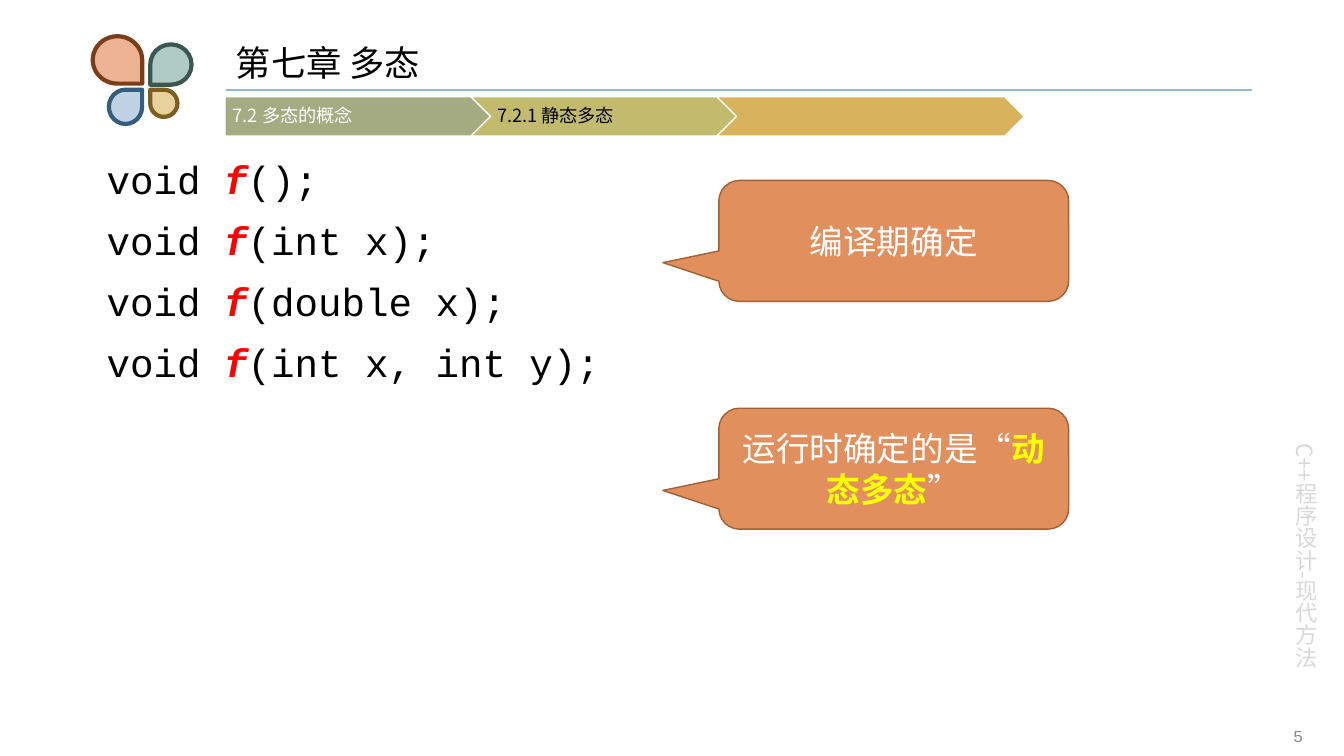
from lxml.etree import SubElement
from pptx import Presentation
from pptx.dml.color import RGBColor
from pptx.enum.shapes import MSO_CONNECTOR, MSO_SHAPE
from pptx.enum.text import MSO_ANCHOR, PP_ALIGN
from pptx.oxml.ns import qn
from pptx.util import Inches, Pt

BLACK = RGBColor(0x00, 0x00, 0x00)
WHITE = RGBColor(0xFF, 0xFF, 0xFF)
RED = RGBColor(0xFF, 0x00, 0x00)
YELLOW = RGBColor(0xFF, 0xFF, 0x00)
RULE_BLUE = RGBColor(0x94, 0xB6, 0xD2)
SIDE_GRAY = RGBColor(0xD9, 0xD9, 0xD9)
NUMBER_GRAY = RGBColor(0x8C, 0x8C, 0x8C)
SAGE = RGBColor(0xA5, 0xAB, 0x81)
OLIVE = RGBColor(0xC2, 0xBB, 0x6E)
GOLD = RGBColor(0xD8, 0xB2, 0x5C)
ORANGE = RGBColor(0xDD, 0x80, 0x47)
RUST = RGBColor(0xA3, 0x5F, 0x35)
PETAL_ORANGE = RGBColor(0xEB, 0xB3, 0x91)
PETAL_ORANGE_EDGE = RGBColor(0x7B, 0x3D, 0x17)
PETAL_GREEN = RGBColor(0xB0, 0xCA, 0xC4)
PETAL_GREEN_EDGE = RGBColor(0x3A, 0x57, 0x50)
PETAL_BLUE = RGBColor(0xBF, 0xD3, 0xE4)
PETAL_BLUE_EDGE = RGBColor(0x35, 0x5D, 0x7E)
PETAL_GOLD = RGBColor(0xE8, 0xD1, 0x9D)
PETAL_GOLD_EDGE = RGBColor(0x7C, 0x5F, 0x1E)

CODE_FONT = "Courier New"
CHINESE_FONT = "Noto Sans CJK SC"


def apply(target, values):
    for name, value in values.items():
        setattr(target, name, value)


def place(box):
    return [Inches(length) for length in box]


def write_para(para, spans, size, font=CHINESE_FONT, **layout):
    apply(para, layout)
    for text, color, *style in spans:
        span = para.add_run()
        span.text = text
        apply(span.font, {"size": Pt(size), "name": font,
                          "bold": "bold" in style, "italic": "italic" in style})
        span.font.color.rgb = color
        SubElement(span._r.get_or_add_rPr(), qn("a:ea"), typeface=CHINESE_FONT)


def add_text(page, box, spans, size, font=CHINESE_FONT, frame=None, **layout):
    text_box = page.shapes.add_textbox(*place(box))
    apply(text_box.text_frame, {"word_wrap": True, **(frame or {})})
    write_para(text_box.text_frame.paragraphs[0], spans, size, font, **layout)
    return text_box


def add_figure(page, kind, box, fill, edge, width):
    figure = page.shapes.add_shape(kind, *place(box))
    figure.shadow.inherit = False
    figure.fill.solid()
    figure.fill.fore_color.rgb = fill
    figure.line.color.rgb = edge
    figure.line.width = Pt(width)
    return figure


def draw_petals(page, left, top):
    petals = [
        (0, 0, 0.47, 0.49, 90, PETAL_ORANGE, PETAL_ORANGE_EDGE),
        (0.56, 0.09, 0.41, 0.4, 180, PETAL_GREEN, PETAL_GREEN_EDGE),
        (0.15, 0.54, 0.33, 0.34, 0, PETAL_BLUE, PETAL_BLUE_EDGE),
        (0.56, 0.54, 0.27, 0.27, 270, PETAL_GOLD, PETAL_GOLD_EDGE),
    ]
    for across, down, width, height, turn, fill, edge in petals:
        box = (left + across, top + down, width, height)
        add_figure(page, MSO_SHAPE.TEAR, box, fill, edge, 3).rotation = turn


def draw_heading(page, left, top, width, height):
    bottom = top + height
    rule = page.shapes.add_connector(
        MSO_CONNECTOR.STRAIGHT, *place((left, bottom, left + width, bottom)))
    rule.line.color.rgb = RULE_BLUE
    rule.line.width = Pt(1.5)
    SubElement(rule.element.spPr, qn("a:effectLst"))
    add_text(page, (left, top, width, height), [("第七章 多态", BLACK)], 25.2,
             frame={"vertical_anchor": MSO_ANCHOR.MIDDLE}, line_spacing=0.9)


def draw_steps(page, left, top, width, height):
    steps = [
        (MSO_SHAPE.PENTAGON, SAGE, "7.2 多态的概念", WHITE, 0, 0.08),
        (MSO_SHAPE.CHEVRON, OLIVE, "7.2.1 静态多态", BLACK, 0.2, 0.06),
        (MSO_SHAPE.CHEVRON, GOLD, "", BLACK, 0.2, 0.06),
    ]
    pitch = 0.8 * width
    for index, (kind, fill, label, color, indent, margin) in enumerate(steps):
        start = left + index * pitch
        add_figure(page, kind, (start, top, width, height), fill, WHITE, 1)
        if label:
            frame = {"vertical_anchor": MSO_ANCHOR.MIDDLE,
                     "margin_left": Inches(margin), "margin_right": Inches(0.02),
                     "margin_top": Inches(0.04), "margin_bottom": Inches(0.04)}
            add_text(page, (start + indent, top, width - 0.1 - 1.45 * indent, height),
                     [(label, color)], 13, frame=frame, line_spacing=0.9)


def draw_code(page, box):
    text_box = page.shapes.add_textbox(*place(box))
    frame = text_box.text_frame
    frame.word_wrap = True
    for index, arguments in enumerate(["", "int x", "double x", "int x, int y"]):
        para = frame.add_paragraph() if index else frame.paragraphs[0]
        spans = [("void ", BLACK), ("f", RED, "bold", "italic"),
                 (f"({arguments});", BLACK)]
        write_para(para, spans, 28, CODE_FONT, space_before=Pt(10))


def draw_callout(page, box, spans):
    callout = add_figure(page, MSO_SHAPE.ROUNDED_RECTANGULAR_CALLOUT, box, ORANGE, RUST, 1)
    for index, value in enumerate((-0.66, 0.18, 0.17)):
        callout.adjustments[index] = value
    color = callout.element.spPr.find(qn("a:solidFill")).find(qn("a:srgbClr"))
    SubElement(color, qn("a:alpha"), val="88000")
    apply(callout.text_frame, {"word_wrap": True, "vertical_anchor": MSO_ANCHOR.MIDDLE})
    write_para(callout.text_frame.paragraphs[0], spans, 24, CODE_FONT,
               alignment=PP_ALIGN.CENTER)


def draw_side_title(page, box):
    side = add_text(page, box, [("C++程序设计-现代方法", SIDE_GRAY)], 16,
                    alignment=PP_ALIGN.CENTER)
    side.element.txBody.bodyPr.set("vert", "eaVert")


def draw_page_number(page, box):
    add_text(page, box, [("5", NUMBER_GRAY)], 12, CODE_FONT,
             frame={"vertical_anchor": MSO_ANCHOR.MIDDLE}, alignment=PP_ALIGN.CENTER)


def main():
    deck = Presentation()
    apply(deck, {"slide_width": Inches(13.33), "slide_height": Inches(7.5)})
    page = deck.slides.add_slide(deck.slide_layouts[6])
    draw_side_title(page, (12.66, 4.3, 0.47, 2.8))
    draw_petals(page, 0.93, 0.35)
    draw_heading(page, 2.24, 0.4, 10.18, 0.49)
    draw_code(page, (0.96, 1.49, 11.46, 5.61))
    draw_page_number(page, (12.42, 7.1, 0.91, 0.4))
    draw_steps(page, 2.23, 0.96, 3.05, 0.39)
    draw_callout(page, (7.13, 1.79, 3.47, 1.2), [("编译期确定", WHITE)])
    draw_callout(page, (7.13, 4.05, 3.47, 1.2),
                 [("运行时确定的是“", WHITE), ("动态多态", YELLOW, "bold"), ("”", WHITE)])
    deck.save("out.pptx")


if __name__ == "__main__":
    main()
